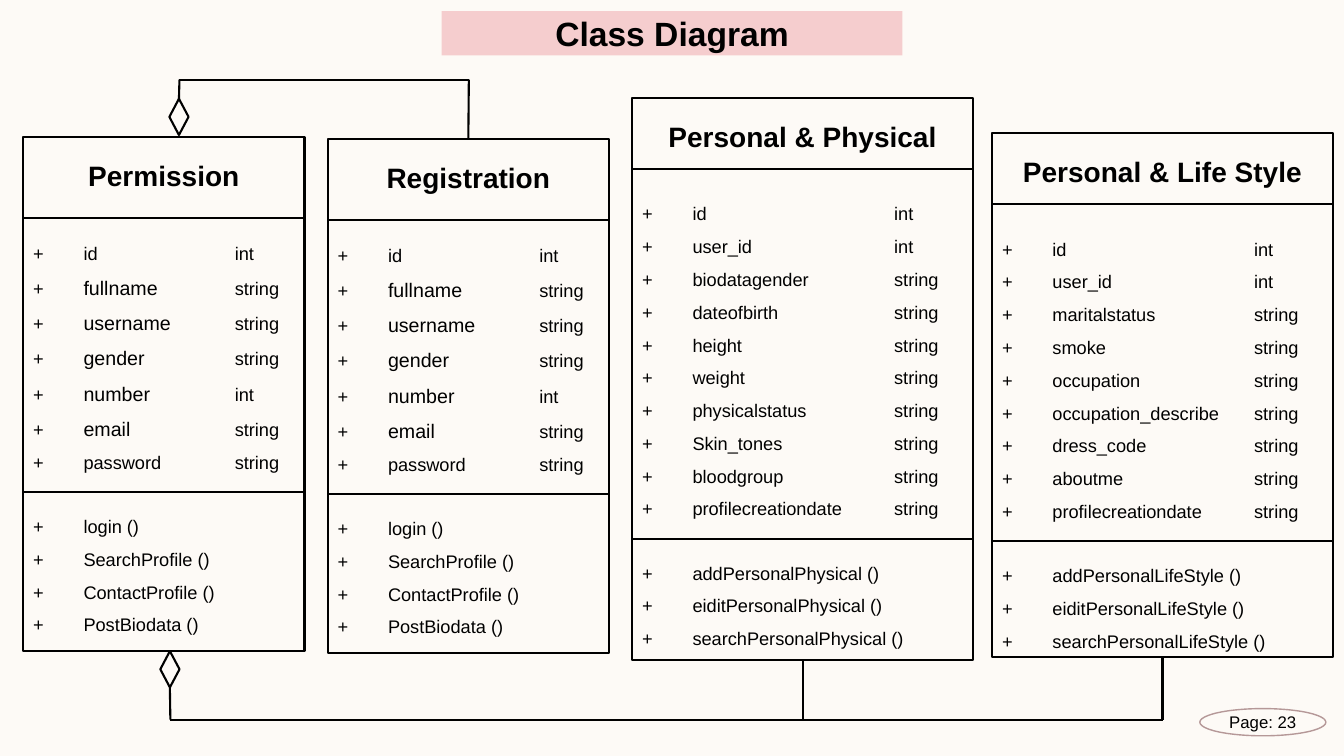
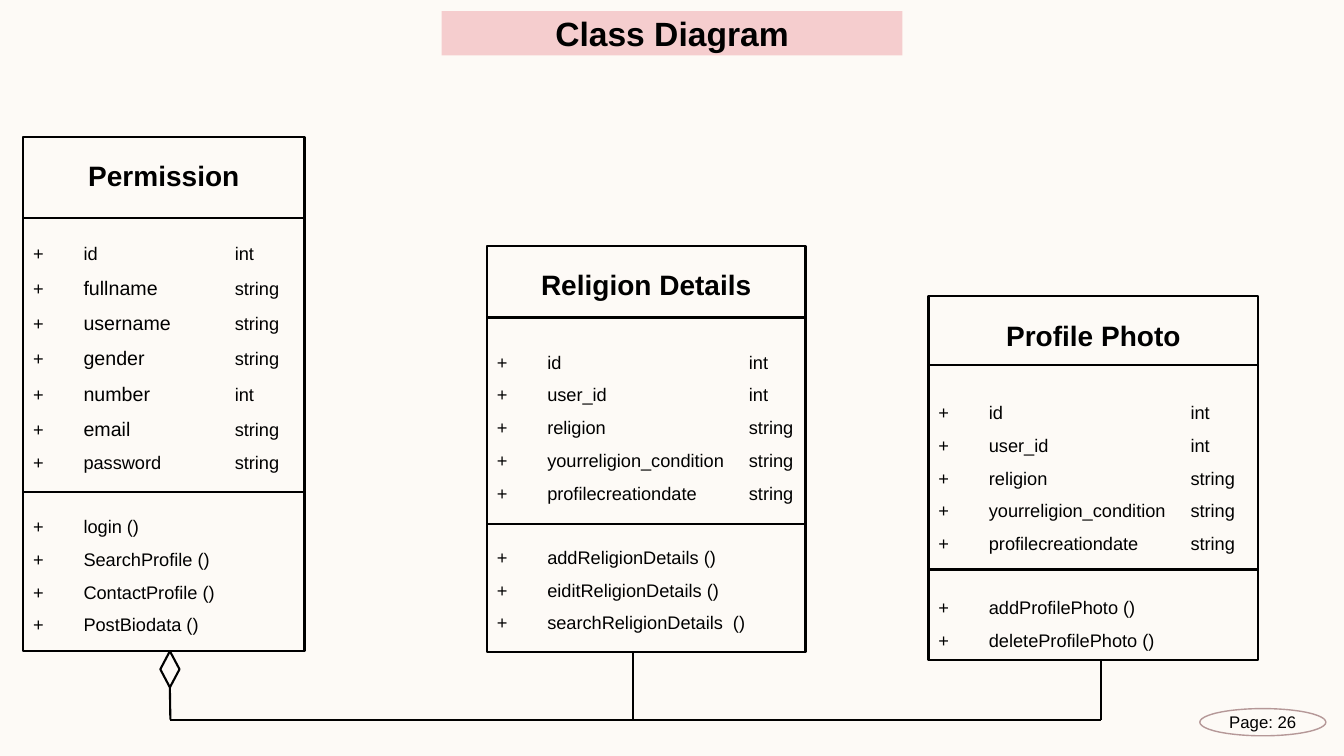
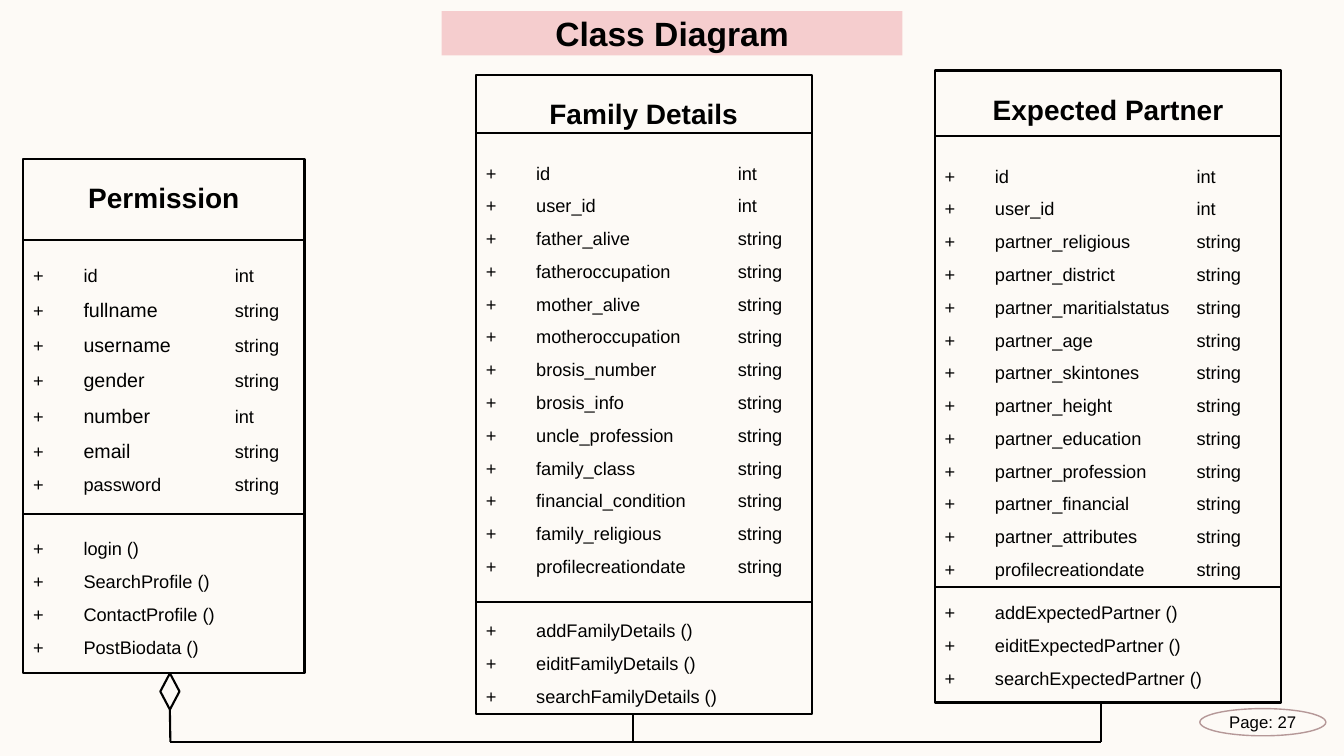
import pptx
import pptx.dml.color
import pptx.enum.shapes
import pptx.enum.text
import pptx.oxml
import pptx.oxml.ns
import pptx.util
from lxml import etree

Inches = pptx.util.Inches
Pt = pptx.util.Pt
RGBColor = pptx.dml.color.RGBColor
Shape = pptx.enum.shapes.MSO_SHAPE
Align = pptx.enum.text.PP_ALIGN
Anchor = pptx.enum.text.MSO_ANCHOR

CREAM = RGBColor(0xFD, 0xFA, 0xF6)
PINK = RGBColor(0xF5, 0xCD, 0xCE)
ROSE = RGBColor(0xB5, 0x98, 0x98)
BLACK = RGBColor(0, 0, 0)
FONT = "Arial"
SMALL, LARGE = 13, 14
STEM = 1.69
TOP, BOTTOM = 0, 2

USER_FIELDS = ["id int", "fullname string", "username string", "gender string",
               "number int", "email string", "password string"]
USER_CALLS = ["login ()", "SearchProfile ()", "ContactProfile ()", "PostBiodata ()"]
BIG = USER_FIELDS[1:6]
KEYS = ["id int", "user_id int"]
FAITH = KEYS + ["religion string", "yourreligion_condition string",
                "profilecreationdate string"]


def write(para, text, size=SMALL, bold=False, align=None, lead=None, gap=0):
    """Add a run of text to a paragraph and format both."""
    run = para.add_run()
    run.text = text
    run.font.name = FONT
    run.font.size = Pt(size)
    run.font.bold = bold
    run.font.color.rgb = BLACK
    if align is not None:
        para.alignment = align
    if lead:
        para.line_spacing = lead
    if gap:
        para.space_before = Pt(gap)


class Deck:
    """Holds the shared style and the current slide."""

    def __init__(self):
        self.prs = pptx.Presentation()
        self.prs.slide_width = Inches(13.33)
        self.prs.slide_height = Inches(7.5)
        fill = self.prs.slide_master.background.fill
        fill.solid()
        fill.fore_color.rgb = CREAM

    def page(self, title, number):
        self.slide = self.prs.slides.add_slide(self.prs.slide_layouts[5])
        head = self.slide.shapes.title
        head.left, head.top = Inches(4.38), Inches(0.11)
        head.width, head.height = Inches(4.57), Inches(0.44)
        head.fill.solid()
        head.fill.fore_color.rgb = PINK
        frame = head.text_frame
        frame.auto_size = pptx.enum.text.MSO_AUTO_SIZE.NONE
        frame.vertical_anchor = Anchor.MIDDLE
        write(frame.paragraphs[0], title, size=24, bold=True, align=Align.CENTER)
        oval = self.shape(Shape.OVAL, 11.9, 7.03, 1.25, 0.27, color=ROSE, weight=1)
        oval.text_frame.word_wrap = False
        oval.text_frame.vertical_anchor = Anchor.MIDDLE
        write(oval.text_frame.paragraphs[0], f"Page: {number}", size=12,
              align=Align.CENTER)

    def shape(self, kind, left, top, width, height, color=BLACK, weight=1.5):
        item = self.slide.shapes.add_shape(
            kind, Inches(left), Inches(top), Inches(width), Inches(height))
        item.shadow.inherit = False
        item.fill.background()
        item.line.color.rgb = color
        item.line.width = Pt(weight)
        return item

    def line(self, x1, y1, x2, y2, start=None, end=None):
        item = self.slide.shapes.add_connector(
            pptx.enum.shapes.MSO_CONNECTOR.STRAIGHT,
            Inches(x1), Inches(y1), Inches(x2), Inches(y2))
        item.line.color.rgb = BLACK
        item.line.width = Pt(1.5)
        etree.SubElement(item._element.spPr, pptx.oxml.ns.qn("a:effectLst"))
        if start:
            item.begin_connect(*start)
        if end:
            item.end_connect(*end)

    def stops(self, para, *places):
        tabs = etree.SubElement(para._p.get_or_add_pPr(), pptx.oxml.ns.qn("a:tabLst"))
        for place in places:
            etree.SubElement(tabs, pptx.oxml.ns.qn("a:tab"),
                             pos=str(Inches(place)), algn="l")

    def box(self, name, at, rules, fields, calls, gaps=(27.6, 22.4), big=()):
        left, top, width, height = at
        item = self.shape(Shape.RECTANGLE, *at)
        frame = item.text_frame
        frame.word_wrap = True
        frame.vertical_anchor = Anchor.TOP
        write(frame.paragraphs[0], name, size=20, bold=True,
              align=Align.CENTER, lead=1.5)
        column = 2 if width < 3 else 2.5
        for rows, space in zip((fields, calls), gaps):
            for row in rows:
                para = frame.add_paragraph()
                write(para, "+\t", align=Align.LEFT, lead=1.5,
                      gap=space if row == rows[0] else 0)
                label, kind = row.rsplit(" ", 1) if rows is fields else (row, "")
                write(para, label, size=LARGE if row in big else SMALL)
                if kind:
                    write(para, "\t" + kind)
                self.stops(para, 0.5, column)
        for y in rules:
            self.line(left, y, left + width, y)
        return item

    def user(self, name, left, top):
        return self.box(name, (left, top, 2.79, 5.1), (top + 0.8, top + 3.52),
                        USER_FIELDS, USER_CALLS, big=BIG)

    def diamond(self, x, top):
        return self.shape(Shape.FLOWCHART_DECISION, x - 0.1, top, 0.19, 0.36)

    def tree(self, base, *drops):
        """Join the boxes to a diamond through a line at the base."""
        gem = self.diamond(STEM, base - 0.68)
        self.line(STEM, base - 0.32, STEM, base, start=(gem, BOTTOM))
        for box, x in drops:
            low = (box.top + box.height) / Inches(1)
            joint = None
            if x is None:
                x = (box.left + box.width / 2) / Inches(1)
                joint = (box, BOTTOM)
            self.line(x, low, x, base, start=joint)
        self.line(x, base, STEM, base)


def main():
    deck = Deck()

    deck.page("Class Diagram", 23)
    body = deck.box(
        "Personal & Physical", (6.27, 0.97, 3.38, 5.58), (1.68, 5.35),
        KEYS + ["biodatagender string", "dateofbirth string", "height string",
                "weight string", "physicalstatus string", "Skin_tones string",
                "bloodgroup string", "profilecreationdate string"],
        ["addPersonalPhysical ()", "eiditPersonalPhysical ()",
         "searchPersonalPhysical ()"])
    life = deck.box(
        "Personal & Life Style", (9.84, 1.32, 3.38, 5.2), (2.02, 5.37),
        KEYS + ["maritalstatus string", "smoke string", "occupation string",
                "occupation_describe string", "dress_code string",
                "aboutme string", "profilecreationdate string"],
        ["addPersonalLifeStyle ()", "eiditPersonalLifeStyle ()",
         "searchPersonalLifeStyle ()"])
    signup = deck.user("Registration", 3.25, 1.38)
    deck.user("Permission", 0.23, 1.36)
    gem = deck.diamond(1.78, 0.98)
    deck.line(4.65, 0.79, 4.65, 1.38, end=(signup, TOP))
    deck.line(4.65, 0.79, 1.78, 0.79)
    deck.line(1.78, 0.79, 1.78, 0.98, end=(gem, TOP))
    deck.tree(7.14, (body, None), (life, None))

    deck.page("Class Diagram", 26)
    faith = deck.box(
        "Religion Details", (4.83, 2.44, 3.16, 4.03), (3.15, 5.2), FAITH,
        ["addReligionDetails ()", "eiditReligionDetails ()",
         "searchReligionDetails  ()"])
    photo = deck.box(
        "Profile Photo", (9.21, 2.94, 3.27, 3.61), (3.62, 5.65), FAITH,
        ["addProfilePhoto ()", "deleteProfilePhoto ()"])
    deck.user("Permission", 0.23, 1.36)
    deck.tree(7.14, (faith, 6.28), (photo, 10.92))

    deck.page("Class Diagram", 27)
    partner = deck.box(
        "Expected Partner", (9.27, 0.7, 3.44, 6.27), (1.35, 5.82),
        KEYS + ["partner_religious string", "partner_district string",
                "partner_maritialstatus string", "partner_age string",
                "partner_skintones string", "partner_height string",
                "partner_education string", "partner_profession string",
                "partner_financial string", "partner_attributes string",
                "profilecreationdate string"],
        ["addExpectedPartner ()", "eiditExpectedPartner ()",
         "searchExpectedPartner ()"], gaps=(20.1, 7.5))
    family = deck.box(
        "Family Details", (4.72, 0.74, 3.33, 6.34), (1.32, 5.97),
        KEYS + ["father_alive string", "fatheroccupation string",
                "mother_alive string", "motheroccupation string",
                "brosis_number string", "brosis_info string",
                "uncle_profession string", "family_class string",
                "financial_condition string", "family_religious string",
                "profilecreationdate string"],
        ["addFamilyDetails ()", "eiditFamilyDetails ()",
         "searchFamilyDetails ()"], gaps=(15, 22.4))
    deck.user("Permission", 0.23, 1.58)
    deck.tree(7.36, (family, 6.28), (partner, 10.92))

    deck.prs.save("out.pptx")


if __name__ == "__main__":
    main()
